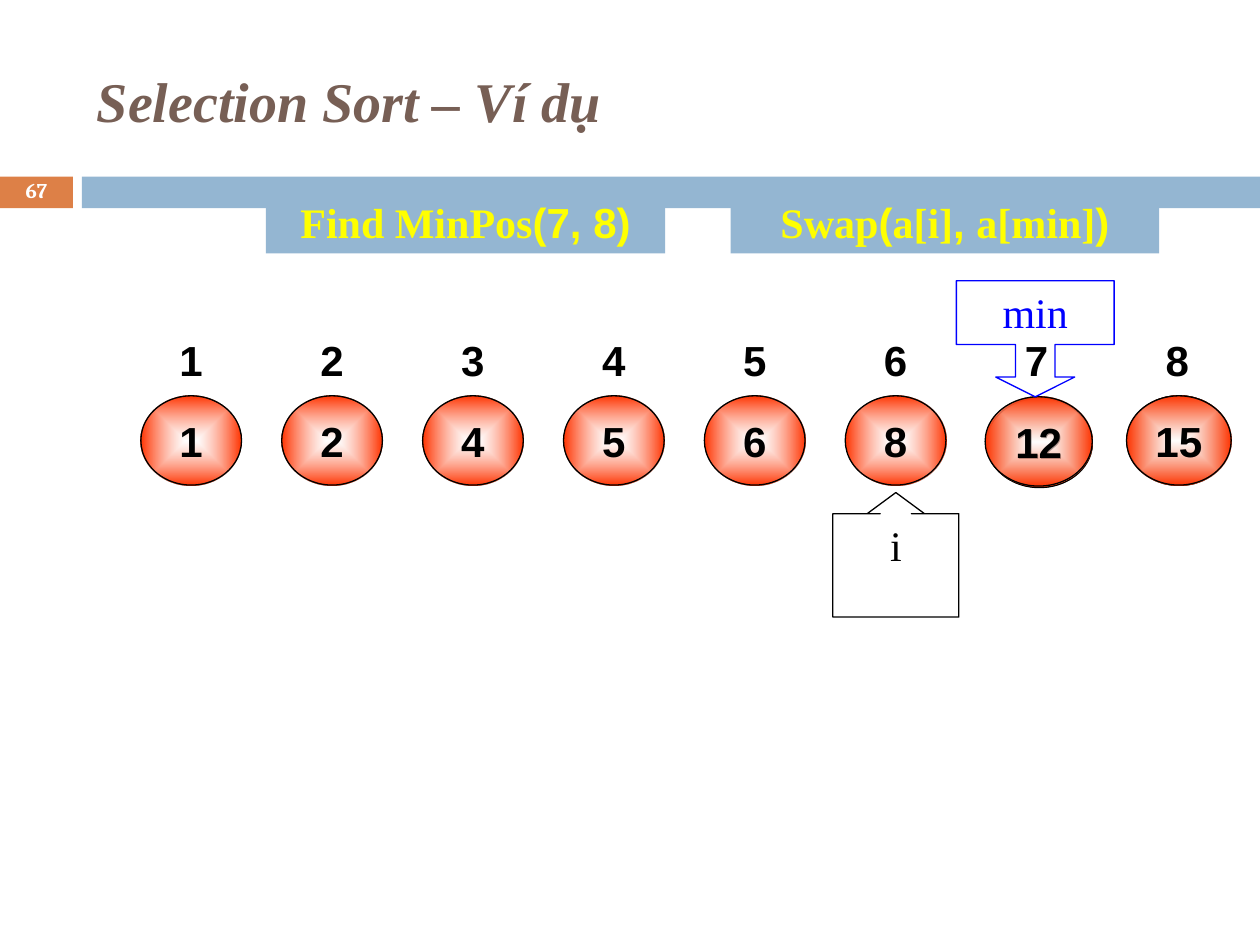
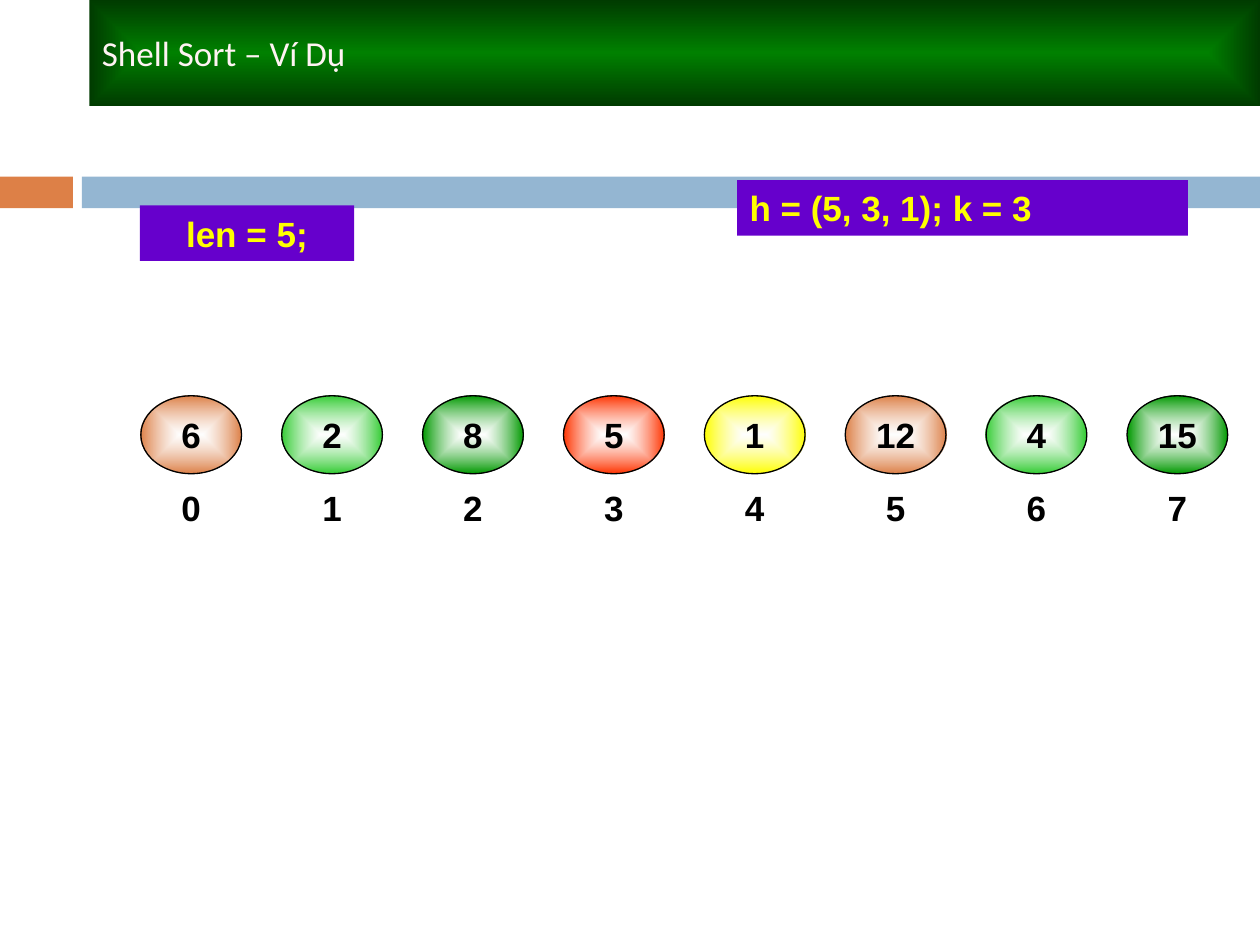
from dataclasses import dataclass

from pptx import Presentation
from pptx.dml.color import RGBColor
from pptx.enum.shapes import MSO_SHAPE
from pptx.enum.text import MSO_ANCHOR, PP_ALIGN
from pptx.oxml import parse_xml
from pptx.oxml.ns import nsdecls, qn
from pptx.util import Cm, Pt


@dataclass(frozen=True)
class Theme:
    orange: str = "DD8047"
    blue: str = "94B6D2"
    brown: str = "775F55"
    red: str = "FF3300"
    lime: str = "33CC33"
    green: str = "009900"
    yellow: str = "FFFF00"
    purple: str = "6600CC"
    pointer: str = "0000FF"
    band_centre: str = "008000"
    band_edge: str = "003B00"
    band_text: str = "FFF3F3"
    black: str = "000000"
    white: str = "FFFFFF"
    serif: str = "Times New Roman"
    sans: str = "Arial"
    title_size: int = 32
    large: int = 24
    medium: int = 20
    small: int = 12


theme = Theme()


def fill_from_centre(shape, centre, edge, opacity=100):
    """Fill with a rectangular gradient; opacity is the centre's percentage."""
    shape.fill.gradient()
    plain = shape.element.spPr.find(qn("a:gradFill"))
    plain.getparent().replace(plain, parse_xml(
        f'<a:gradFill {nsdecls("a")} rotWithShape="1"><a:gsLst>'
        f'<a:gs pos="0"><a:srgbClr val="{centre}">'
        f'<a:alpha val="{opacity * 1000}"/></a:srgbClr></a:gs>'
        f'<a:gs pos="100000"><a:srgbClr val="{edge}"/></a:gs></a:gsLst>'
        '<a:path path="rect"><a:fillToRect l="50000" t="50000" r="50000" b="50000"/>'
        '</a:path></a:gradFill>'))


def add_label(shapes, kind, box, parts=(), size=theme.large, color=theme.black,
              fill=None, line=None, bold=True, align=PP_ALIGN.CENTER):
    """Add a preset shape; box is in cm, parts are (text, typeface) pairs."""
    shape = shapes.add_shape(kind, *map(Cm, box))
    shape.shadow.inherit = False
    if fill:
        shape.fill.solid()
        shape.fill.fore_color.rgb = RGBColor.from_string(fill)
    else:
        shape.fill.background()
    if line:
        shape.line.color.rgb = RGBColor.from_string(line)
        shape.line.width = Pt(0.75)
    else:
        shape.line.fill.background()
    frame = shape.text_frame
    frame.word_wrap = True
    frame.vertical_anchor = MSO_ANCHOR.MIDDLE
    if kind == MSO_SHAPE.OVAL:
        frame.margin_left = frame.margin_right = 0
    paragraph = frame.paragraphs[0]
    paragraph.alignment = align
    paragraph.font.size = Pt(size)
    paragraph.font.bold = bold
    paragraph.font.color.rgb = RGBColor.from_string(color)
    for text, typeface in parts:
        run = paragraph.add_run()
        run.text = text
        if len(parts) == 1:
            paragraph.font.name = typeface
        else:
            run.font.name = typeface
    return shape


prs = Presentation()
prs.slide_width, prs.slide_height = Cm(25.4), Cm(19.05)
layout = prs.slide_layouts.get_by_name("Title Only")
selection = prs.slides.add_slide(layout)
shell = prs.slides.add_slide(layout)

# Bands shared through the layout
for left, width, color in ((0, 1.47, theme.orange), (1.65, 23.75, theme.blue)):
    band = add_label(selection.shapes, MSO_SHAPE.RECTANGLE,
                     (left, 3.56, width, 0.64), fill=color)
    layout.shapes.element.insert(2, band.element)

# Titles
for slide, text, box, typeface, size, color, strong in (
    (selection, "Selection Sort – Ví dụ", (1.7, 0.64, 22.66, 2.74),
     theme.serif, theme.title_size, theme.brown, True),
    (shell, "Shell Sort – Ví Dụ", (1.8, 0, 23.6, 2.13),
     "Calibri", theme.medium, theme.band_text, False),
):
    title = slide.shapes.title
    title.left, title.top, title.width, title.height = map(Cm, box)
    title.text_frame.vertical_anchor = MSO_ANCHOR.MIDDLE
    heading = title.text_frame.paragraphs[0]
    heading.text = text
    heading.alignment = PP_ALIGN.LEFT
    heading.font.name = typeface
    heading.font.size = Pt(size)
    heading.font.bold = heading.font.italic = strong
    heading.font.color.rgb = RGBColor.from_string(color)
fill_from_centre(shell.shapes.title, theme.band_centre, theme.band_edge)

page_box = selection.shapes.add_textbox(Cm(0), Cm(3.53), Cm(1.47), Cm(0.69))
page_box.text_frame.word_wrap = True
page_box.text_frame.vertical_anchor = MSO_ANCHOR.MIDDLE
page = page_box.text_frame.paragraphs[0]
page.text = "67"
page.alignment = PP_ALIGN.CENTER
page.line_spacing = 0.8
page.font.name = "Cambria"
page.font.size = Pt(theme.small)
page.font.bold = True
page.font.color.rgb = RGBColor.from_string(theme.white)

# Array elements and their indexes
pitch, disc_width, disc_top = 2.84, 2.03, 7.98
columns = [pitch * (i + 1) for i in range(8)]
shell_colors = (theme.orange, theme.lime, theme.green, theme.red,
                theme.yellow, theme.orange, theme.lime, theme.green)
selection_discs = [(value, theme.red, (left, disc_top, disc_width, 1.8))
                   for value, left in zip((1, 2, 4, 5, 6, 8), columns)]
selection_discs += [
    (12, theme.orange, (19.89, 8.03, 2.13, 1.8)),
    (15, theme.orange, (22.73, disc_top, 2.08, 1.8)),
    (12, theme.red, (19.86, 8, 2.16, 1.8)),
    (15, theme.red, (22.71, disc_top, 2.11, 1.8)),
]
shell_discs = [(value, color, (left, disc_top, disc_width, 1.57))
               for value, color, left in zip((6, 2, 8, 5, 1, 12, 4, 15),
                                             shell_colors, columns)]

for slide, discs, size, first_index, index_top, height in (
    (selection, selection_discs, theme.large, 1, 6.35, 1.8),
    (shell, shell_discs, theme.medium, 0, 9.45, 1.57),
):
    for value, color, box in discs:
        disc = add_label(slide.shapes, MSO_SHAPE.OVAL, box,
                         [(str(value), theme.sans)], size, line=theme.black)
        fill_from_centre(disc, theme.white, color, opacity=60)
    index_row = slide.shapes.add_group_shape()
    for index, left in enumerate(columns, first_index):
        add_label(index_row.shapes, MSO_SHAPE.OVAL,
                  (left, index_top, disc_width, height),
                  [(str(index), theme.sans)], size)

# Pointers to the current and the smallest element
for kind, box, text, color, proportions in (
    (MSO_SHAPE.UP_ARROW_CALLOUT, (16.79, 9.93, 2.54, 2.51), "i",
     theme.black, (0.25, 0.23, 0.17, 0.99)),
    (MSO_SHAPE.DOWN_ARROW_CALLOUT, (19.28, 5.66, 3.18, 2.34), "min",
     theme.pointer, (0.34, 0.34, 0.17, 0.55)),
):
    pointer = add_label(selection.shapes, kind, box, [(text, theme.serif)],
                        color=color, line=color, bold=False)
    pointer.text_frame.vertical_anchor = MSO_ANCHOR.TOP
    for i, proportion in enumerate(proportions):
        pointer.adjustments[i] = proportion

# Step captions
for slide, box, parts, size, fill, align in (
    (selection, (5.36, 3.84, 8.05, 1.27),
     [("Find MinPos", theme.serif), ("(7, 8)", theme.sans)],
     theme.large, theme.blue, PP_ALIGN.CENTER),
    (selection, (14.73, 3.84, 8.64, 1.27),
     [("Swap", theme.serif), ("(", theme.sans), ("a[i]", theme.serif),
      (", ", theme.sans), ("a[min]", theme.serif), (")", theme.sans)],
     theme.large, theme.blue, PP_ALIGN.CENTER),
    (shell, (14.86, 3.63, 9.09, 1.12), [("h = (5, 3, 1); k = 3", theme.sans)],
     theme.medium, theme.purple, PP_ALIGN.LEFT),
    (shell, (2.82, 4.14, 4.32, 1.12), [("len = 5;", theme.sans)],
     theme.medium, theme.purple, PP_ALIGN.CENTER),
):
    add_label(slide.shapes, MSO_SHAPE.RECTANGLE, box, parts, size,
              theme.yellow, fill=fill, align=align)

prs.save("out.pptx")
